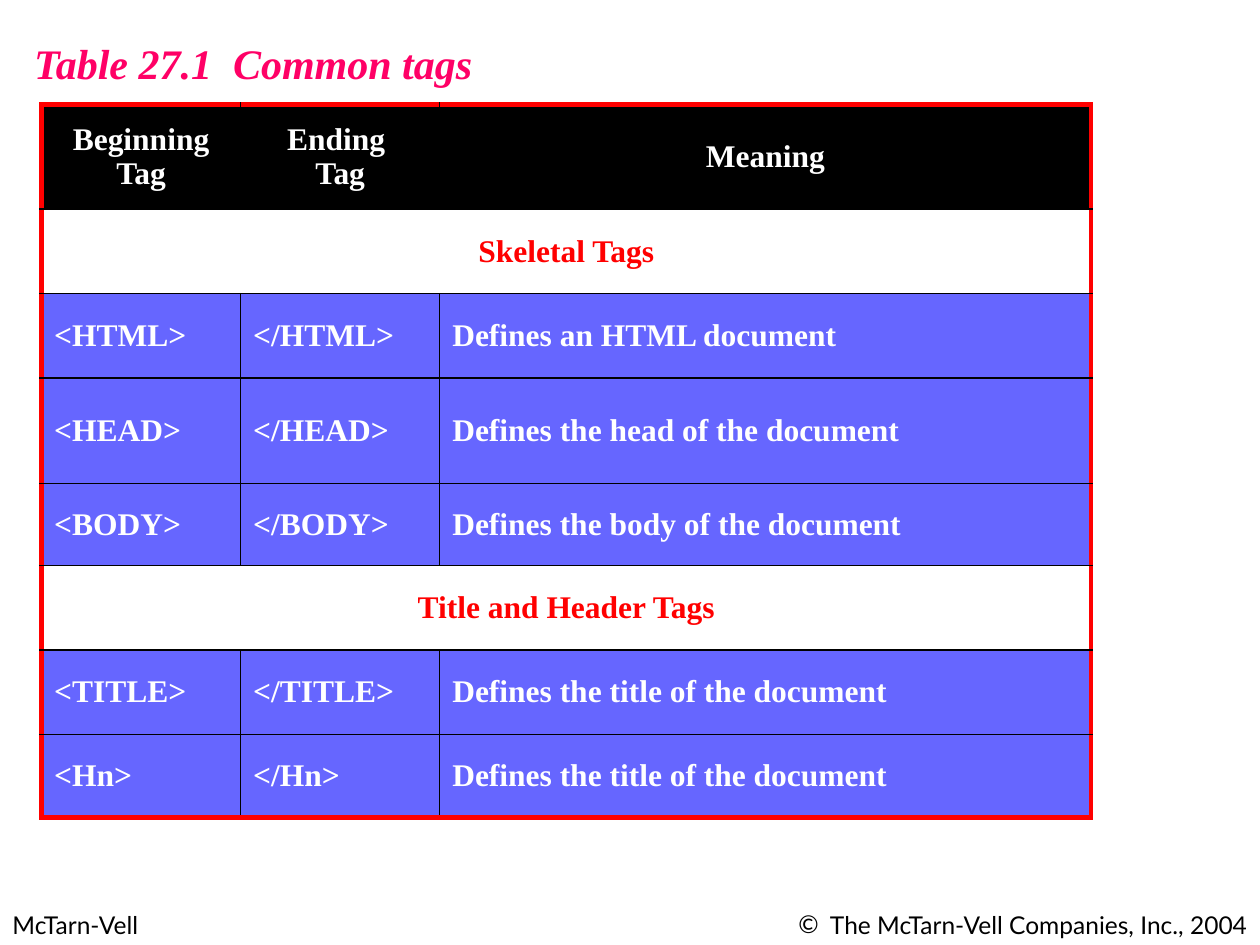
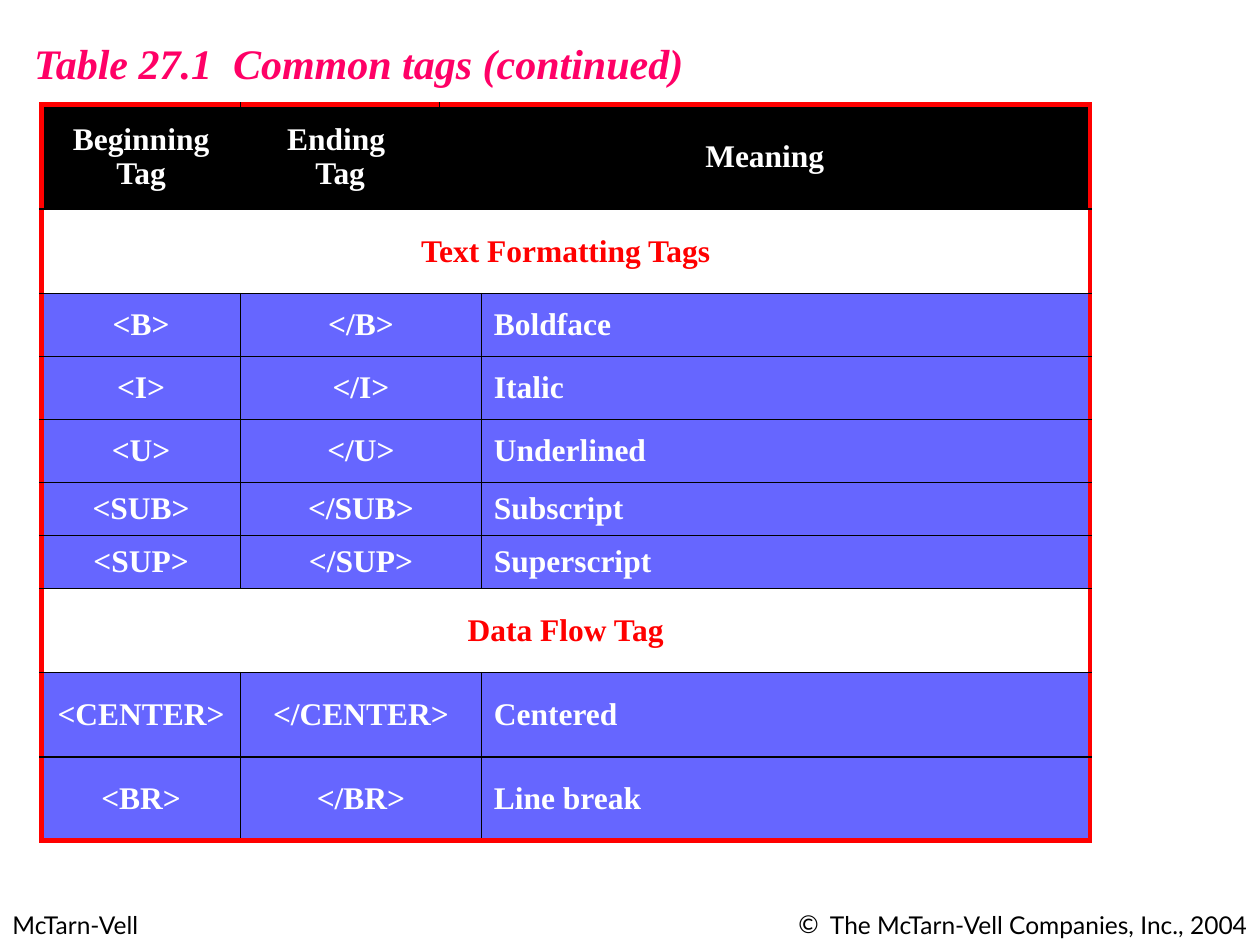
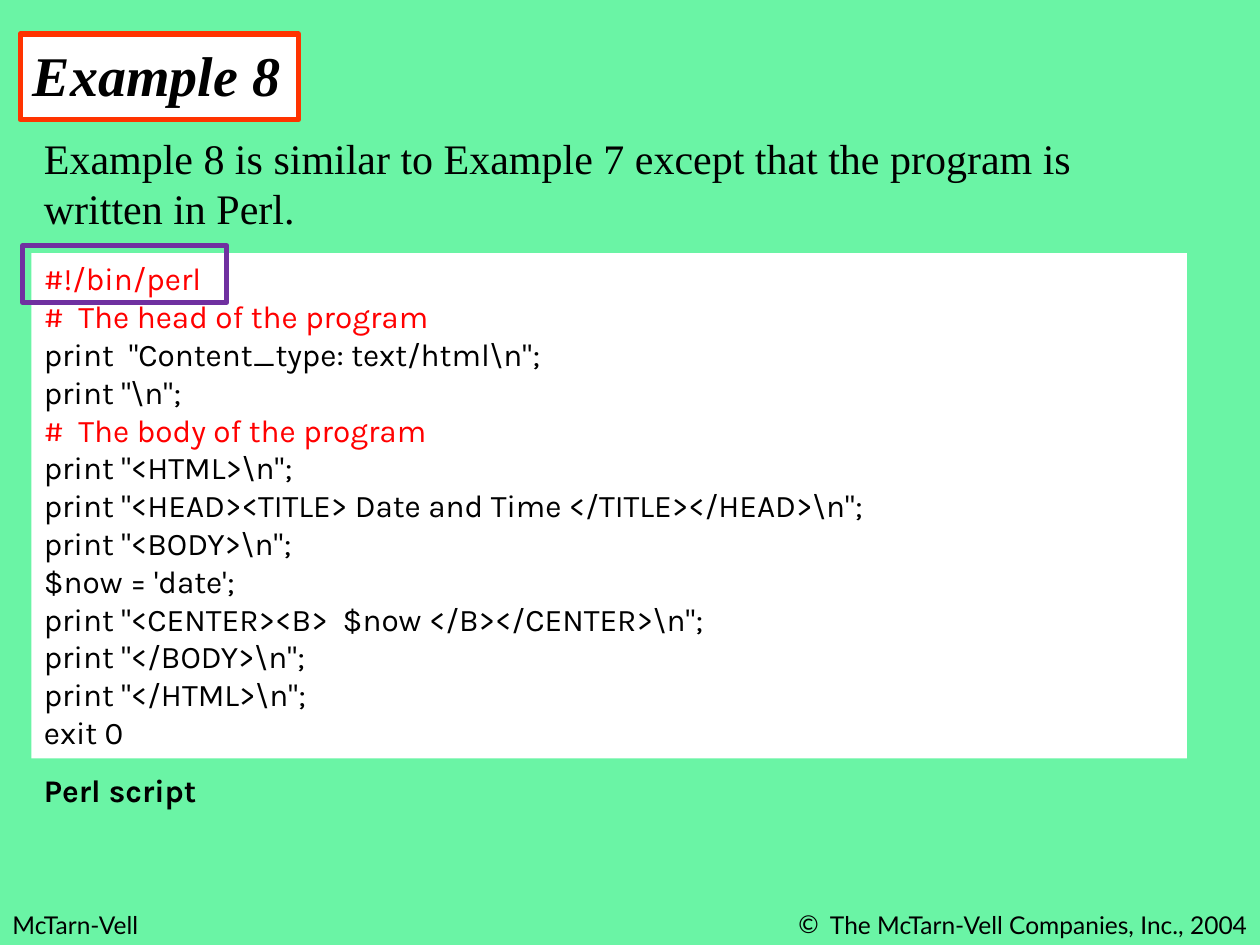
from pptx import Presentation
from pptx.dml.color import RGBColor
from pptx.enum.shapes import MSO_SHAPE
from pptx.enum.text import MSO_ANCHOR, MSO_AUTO_SIZE, PP_ALIGN
from pptx.oxml import parse_xml
from pptx.oxml.ns import nsdecls
from pptx.util import Inches, Pt

BLACK = RGBColor(0x00, 0x00, 0x00)
WHITE = RGBColor(0xFF, 0xFF, 0xFF)
RED = RGBColor(0xFF, 0x00, 0x00)
PINK = RGBColor(0xFF, 0x00, 0x66)
BLUE = RGBColor(0x66, 0x66, 0xFF)
ORANGE = RGBColor(0xFF, 0x33, 0x00)
PURPLE = RGBColor(0x70, 0x30, 0xA0)
GREEN = RGBColor(0x6A, 0xF4, 0xA5)

SERIF, SANS, CODE = "Times New Roman", "Lato", "Karla"
LEFT, CENTER, RIGHT = PP_ALIGN.LEFT, PP_ALIGN.CENTER, PP_ALIGN.RIGHT
WIDTH, HEIGHT = 10, 7.5
FOOTER_HEIGHT = 0.33
PLAIN_TABLE = "{2D5ABB26-0587-4C30-8999-92F81FD0307C}"

deck = Presentation()
deck.slide_width, deck.slide_height = Inches(WIDTH), Inches(HEIGHT)


def write(frame, text, font=SERIF, size=18, color=BLACK, bold=False,
          italic=False, align=LEFT, anchor=MSO_ANCHOR.TOP, wrap=True, leading=1.2):
    frame.auto_size = MSO_AUTO_SIZE.NONE
    frame.word_wrap = wrap
    frame.vertical_anchor = anchor
    paragraph = frame.paragraphs[0]
    paragraph.text = text
    paragraph.alignment = align
    if leading:
        paragraph.line_spacing = Pt(size * leading)
    for run in paragraph.runs:
        run.font.name, run.font.size = font, Pt(size)
        run.font.bold, run.font.italic = bold, italic
        run.font.color.rgb = color
    return paragraph


def add_slide(title, box, size, color, background):
    slide = deck.slides.add_slide(deck.slide_layouts[5])
    slide.background.fill.solid()
    slide.background.fill.fore_color.rgb = background

    # Footers
    top, height = Inches(HEIGHT - FOOTER_HEIGHT), Inches(FOOTER_HEIGHT)
    publisher = slide.shapes.add_textbox(0, top, Inches(2.42), height)
    write(publisher.text_frame, "McTarn-Vell", font=SANS, size=14)
    rights = slide.shapes.add_textbox(Inches(WIDTH / 2), top, Inches(WIDTH / 2), height)
    line = write(rights.text_frame, "The McTarn-Vell Companies, Inc., 2004",
                 font=SANS, size=14, align=RIGHT)
    bullet = line._p.get_or_add_pPr()
    bullet.set("marL", str(Inches(0.25)))
    bullet.set("indent", str(Inches(-0.25)))
    bullet.append(parse_xml(f'<a:buFont {nsdecls("a")} typeface="{SANS}"/>'))
    bullet.append(parse_xml(f'<a:buChar {nsdecls("a")} char="©"/>'))

    # Title
    heading = slide.shapes.title
    heading.left, heading.top, heading.width, heading.height = map(Inches, box)
    write(heading.text_frame, title, size=size, color=color, bold=True,
          italic=True, wrap=False)
    return slide


# Tables of tags: a row with one entry is a section heading
HEADER = (0.83, "Beginning\nTag", "Ending \nTag", "Meaning")
TAG_TABLES = [
    {
        "title": "Table 27.1  Common tags", "title_width": 3.79,
        "columns": [1.58, 1.58, 5.17],
        "header_spans": [1, 1, 1], "tag_spans": [1, 1, 1], "tag_align": LEFT,
        "rows": [
            HEADER,
            (0.67, "Skeletal Tags"),
            (0.67, "<HTML>", "</HTML>", "Defines an HTML document"),
            (0.84, "<HEAD>", "</HEAD>", "Defines the head of the document"),
            (0.65, "<BODY>", "</BODY>", "Defines the body of the document"),
            (0.67, "Title and Header Tags"),
            (0.67, "<TITLE>", "</TITLE>", "Defines the title of the document"),
            (0.66, "<Hn>", "</Hn>", "Defines the title of the document"),
        ],
    },
    {
        "title": "Table 27.1  Common tags (continued)", "title_width": 5.47,
        "columns": [1.58, 1.58, 0.33, 4.83],
        "header_spans": [1, 1, 2], "tag_spans": [1, 2, 1], "tag_align": CENTER,
        "rows": [
            HEADER,
            (0.67, "Text Formatting Tags"),
            (0.5, "<B>", "</B>", "Boldface"),
            (0.5, "<I>", "</I>", "Italic"),
            (0.5, "<U>", "</U>", "Underlined"),
            (0.42, "<SUB>", "</SUB>", "Subscript"),
            (0.42, "<SUP>", "</SUP>", "Superscript"),
            (0.67, "Data Flow Tag"),
            (0.67, "<CENTER>", "</CENTER>", "Centered"),
            (0.66, "<BR>", "</BR>", "Line break"),
        ],
    },
]

for tags in TAG_TABLES:
    slide = add_slide(tags["title"], (0.17, 0.25, tags["title_width"], 0.5),
                      24, PINK, WHITE)
    rows, columns = tags["rows"], tags["columns"]
    last_row, column_count = len(rows) - 1, len(columns)
    table = slide.shapes.add_table(
        len(rows), column_count, Inches(0.33), Inches(0.83),
        Inches(sum(columns)), Inches(sum(row[0] for row in rows))).table
    table._tbl.tblPr[0].text = PLAIN_TABLE
    for column, width in zip(table.columns, columns):
        column.width = Inches(width)

    for r, (height, *entries) in enumerate(rows):
        table.rows[r].height = Inches(height)
        if r == 0:
            spans, fill, color = tags["header_spans"], BLACK, WHITE
            aligns = [CENTER] * 3
        elif len(entries) == 1:
            spans, fill, color, aligns = [column_count], WHITE, RED, [CENTER]
        else:
            spans, fill, color = tags["tag_spans"], BLUE, WHITE
            aligns = [tags["tag_align"]] * 2 + [LEFT]

        first = 0
        for entry, span, align in zip(entries, spans, aligns):
            end = first + span
            if span > 1:
                table.cell(r, first).merge(table.cell(r, end - 1))
            for c in range(first, end):
                cell = table.cell(r, c)
                # Red frame around the table, thin black rules inside
                edges = {"L": c == 0, "R": end == column_count,
                         "T": r == 0, "B": r == last_row}
                if c > first:
                    del edges["L"]
                    if c < end - 1:
                        del edges["R"]
                for side, outer in edges.items():
                    rule, points = (RED, 3) if outer else (BLACK, 1)
                    cell._tc.get_or_add_tcPr().append(parse_xml(
                        f'<a:ln{side} {nsdecls("a")} w="{Pt(points)}"><a:solidFill>'
                        f'<a:srgbClr val="{rule}"/></a:solidFill></a:ln{side}>'))
                cell.fill.solid()
                cell.fill.fore_color.rgb = fill
            label = table.cell(r, first)
            label.vertical_anchor = MSO_ANCHOR.MIDDLE
            write(label.text_frame, entry, color=color, bold=True, align=align,
                  anchor=None, wrap=None, leading=None)
            first = end

# Perl example
slide = add_slide("Example 8", (0.16, 0.27, 2.21, 0.68), 32, BLACK, GREEN)
heading = slide.shapes.title
heading.fill.solid()
heading.fill.fore_color.rgb = WHITE
heading.line.color.rgb = ORANGE
heading.line.width = Pt(3)

intro = slide.shapes.add_textbox(Inches(0.25), Inches(1), Inches(9.25), Inches(0.9))
write(intro.text_frame, "Example 8 is similar to Example 7 except that the program "
      "is written in Perl.", size=24)

# Program listing, with its comments in red
PROGRAM = r"""#!/bin/perl 
#  The head of the program
print  "Content_type: text/html\n";
print "\n";
#  The body of the program
print "<HTML>\n";
print "<HEAD><TITLE> Date and Time </TITLE></HEAD>\n";
print "<BODY>\n";
$now = 'date';
print "<CENTER><B>  $now </B></CENTER>\n";
print "</BODY>\n";
print "</HTML>\n";
exit 0"""
listing = slide.shapes.add_shape(MSO_SHAPE.RECTANGLE, Inches(0.25), Inches(2.01),
                                 Inches(9.17), Inches(4.01))
listing.shadow.inherit = False
listing.fill.solid()
listing.fill.fore_color.rgb = WHITE
listing.line.fill.background()
for run in write(listing.text_frame, PROGRAM, font=CODE).runs:
    if run.text.startswith("#"):
        run.font.color.rgb = RED

# Frame around the interpreter line
interpreter = slide.shapes.add_shape(MSO_SHAPE.RECTANGLE, Inches(0.18), Inches(1.95),
                                     Inches(1.62), Inches(0.45))
interpreter.shadow.inherit = False
interpreter.fill.background()
interpreter.line.color.rgb = PURPLE
interpreter.line.width = Pt(3)

caption = slide.shapes.add_textbox(Inches(0.25), Inches(6.07), Inches(1.49), Inches(0.4))
write(caption.text_frame, "Perl script", font=CODE, bold=True, wrap=False)

deck.save("out.pptx")
